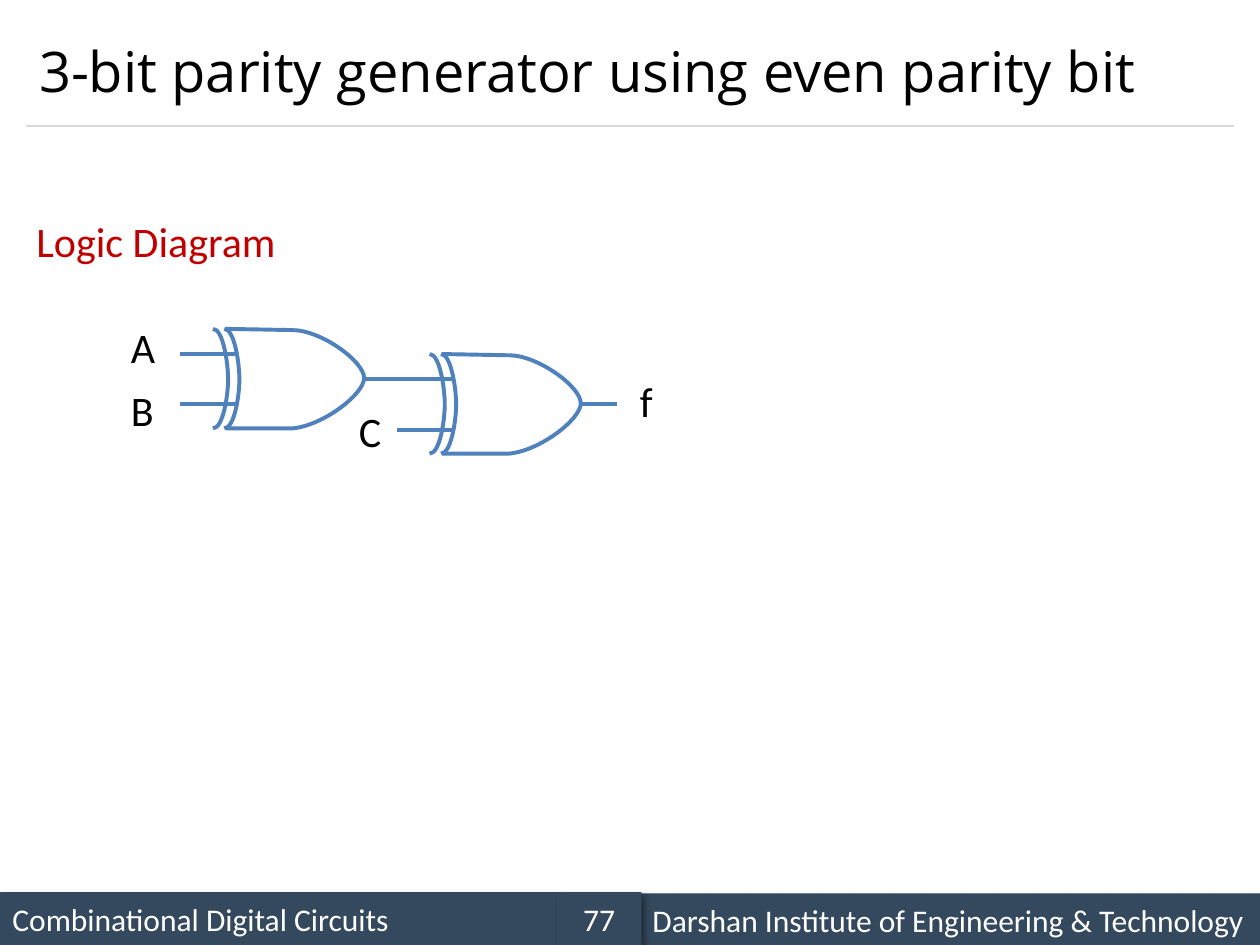
from lxml import etree
from pptx import Presentation
from pptx.dml.color import RGBColor
from pptx.enum.shapes import MSO_CONNECTOR as CONN, MSO_SHAPE as SHAPE
from pptx.enum.text import MSO_ANCHOR as ANCHOR, MSO_AUTO_SIZE as AUTO, PP_ALIGN as ALIGN
from pptx.oxml import parse_xml
from pptx.oxml.ns import nsdecls, qn
from pptx.util import Inches, Pt

TITLE = "3-bit parity generator using even parity bit"
# text, left, top, width, alignment; the number goes on top
BARS = [
    ("Combinational Digital Circuits", 0, 7.08, 4.42, ALIGN.LEFT),
    ("Darshan Institute of Engineering & Technology", 5.08, 7.09, 4.92, ALIGN.LEFT),
    ("77", 4.42, 7.08, 0.67, ALIGN.CENTER),
]
# text, left, top, width, colour
LABELS = [
    ("Logic Diagram", 0.19, 1.66, 2.12, "C00000"),
    ("A", 0.94, 2.5, 0.4, "000000"),
    ("B", 0.94, 3, 0.4, "000000"),
    ("C", 2.75, 3.17, 0.38, "000000"),
    ("f", 4.98, 2.93, 0.31, "000000"),
]
GATES = [(1.43, 2.61), (3.15, 2.81)]  # left end of the inputs, top of the body

# XOR gate, relative to its place in GATES
WIRES = [(0, 0.6, 0.46), (0, 0.2, 0.46), (1.46, 0.4, 1.75)]  # from x, y, to x
# one point is a line end, three points are a cubic curve
BODY = [
    [(0.36, 0)],
    [(0.89, 0.01)],
    [(1.12, 0.01), (1.46, 0.26), (1.46, 0.39)],
    [(1.46, 0.52), (1.13, 0.77), (0.89, 0.79)],
    [(0.36, 0.79)],
]
ARC = [
    [(0, 0.79)],
    [(0.08, 0.79), (0.12, 0.53), (0.12, 0.4)],
    [(0.12, 0.27), (0.08, 0), (0, 0)],
]
ARC_LEFTS = [0.35, 0.26]
OUTLINES = [(BODY, 0)] + [(ARC, left) for left in ARC_LEFTS]

BLUE, SLATE, GREY = "4F81BD", "34495E", "D9D9D9"
SHADOW = f"""<a:outerShdw {nsdecls('a')} blurRad="{Pt(4)}" dist="{Pt(3)}" dir="2700000"
 algn="tl" rotWithShape="0"><a:srgbClr val="000000"><a:alpha val="40000"/></a:srgbClr></a:outerShdw>"""


def rgb(hex_code):
    return RGBColor.from_string(hex_code)


def write(tf, text, size, color, font="Calibri", align=ALIGN.LEFT, **frame):
    for name, value in frame.items():
        setattr(tf, name, value)
    p = tf.paragraphs[0]
    p.alignment = align
    r = p.add_run()
    r.text = text
    r.font.color.rgb = rgb(color)
    for name, value in {"size": Pt(size), "name": font}.items():
        setattr(r.font, name, value)


def add_line(shapes, x1, y1, x2, y2, color, width):
    line = shapes.add_connector(CONN.STRAIGHT, *map(Inches, (x1, y1, x2, y2)))
    line.line.color.rgb = rgb(color)
    line.line.width = Pt(width)
    etree.SubElement(line._element.spPr, qn("a:effectLst"))


def add_outline(shapes, path, x, y):
    """Draw the path through its end points, then bend its curved segments."""
    segments = [[(Inches(x + dx), Inches(y + dy)) for dx, dy in seg] for seg in path]
    ends = [seg[-1] for seg in segments]
    builder = shapes.build_freeform(*ends[0])
    builder.add_line_segments(ends[1:], close=False)
    outline = builder.convert_to_shape()
    left, top = (min(values) for values in zip(*ends))
    steps = list(outline._element.iter(qn("a:lnTo")))
    for step, seg in zip(steps, segments[1:]):
        if len(seg) == 3:
            curve = etree.Element(qn("a:cubicBezTo"))
            for px, py in seg:
                etree.SubElement(curve, qn("a:pt"), x=str(px - left), y=str(py - top))
            step.getparent().replace(step, curve)
    outline.shadow.inherit = False
    outline.fill.background()
    outline.line.color.rgb = rgb(BLUE)
    outline.line.width = Pt(2.25)


prs = Presentation()
prs.slide_width, prs.slide_height = Inches(10), Inches(7.5)
s = prs.slides.add_slide(prs.slide_layouts[5])

title = s.shapes.title
title.left, title.top, title.width, title.height = map(Inches, (0.21, 0.12, 9.58, 0.88))
write(title.text_frame, TITLE, 32, "000000", "Open Sans",
      vertical_anchor=ANCHOR.MIDDLE, auto_size=AUTO.NONE)
add_line(s.shapes, 0.21, 1, 9.79, 1, GREY, 0.75)

for text, left, top, width, align in BARS:
    bar = s.shapes.add_shape(SHAPE.RECTANGLE, *map(Inches, (left, top, width, 0.42)))
    bar.fill.solid()
    bar.fill.fore_color.rgb = rgb(SLATE)
    bar.line.fill.background()
    bar.shadow.inherit = False
    bar._element.spPr.find(qn("a:effectLst")).append(parse_xml(SHADOW))
    write(bar.text_frame, text, 18, "FFFFFF", align=align, vertical_anchor=ANCHOR.MIDDLE)

for x, y in GATES:
    gate = s.shapes.add_group_shape().shapes
    for x1, dy, x2 in WIRES:
        add_line(gate, x + x1, y + dy, x + x2, y + dy, BLUE, 2.25)
    for path, left in OUTLINES:
        add_outline(gate, path, x + left, y)

for text, left, top, width, color in LABELS:
    box = s.shapes.add_textbox(*map(Inches, (left, top, width, 0.5)))
    write(box.text_frame, text, 24, color, word_wrap=False, auto_size=AUTO.SHAPE_TO_FIT_TEXT)

prs.save("out.pptx")
